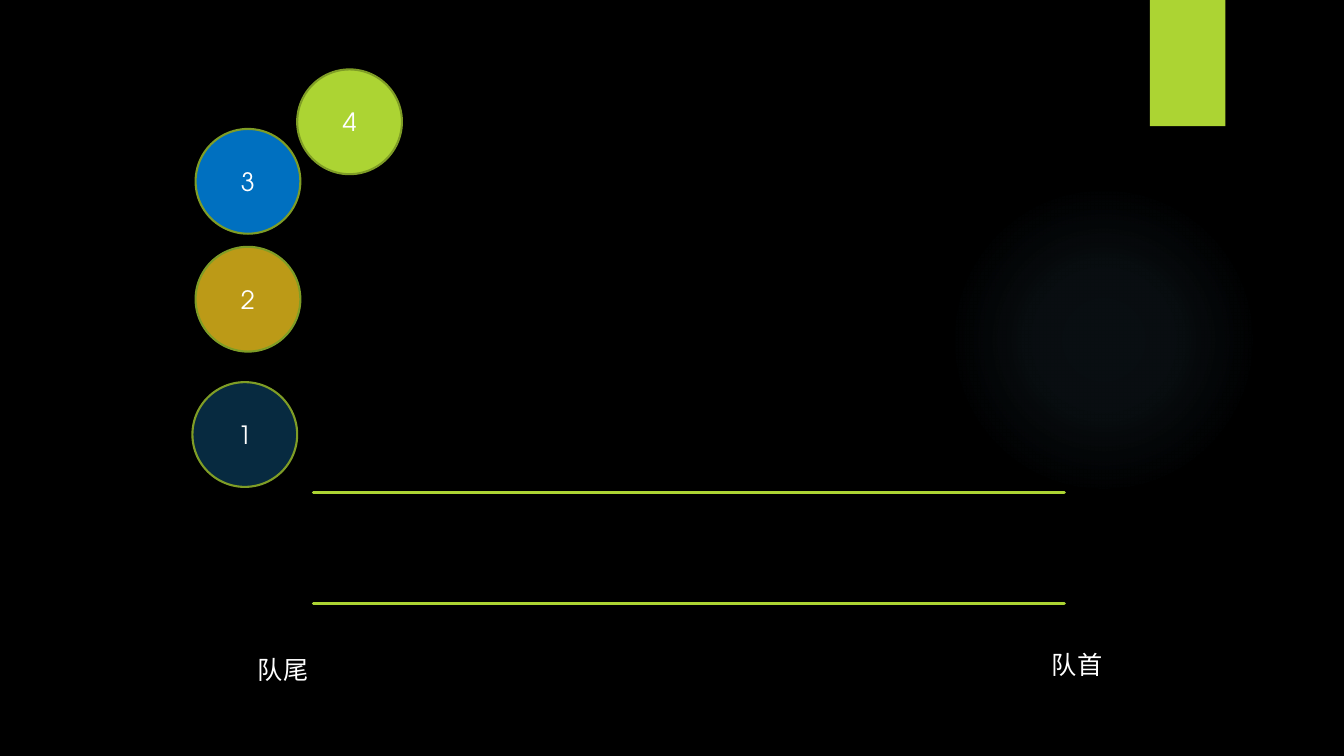
"""Build a slide of numbered balls waiting to enter a queue."""
import lxml.etree
import pptx
import pptx.dml.color
import pptx.enum.shapes
import pptx.enum.text
import pptx.oxml
import pptx.oxml.ns
import pptx.util

Cm = pptx.util.Cm
Pt = pptx.util.Pt
SHAPES = pptx.enum.shapes.MSO_SHAPE
FONT = "TeX Gyre Adventor"
COLORS = {
    "background": "000000",
    "glow": "7AC4F0",
    "lime": "ACD433",
    "outline": "7F9D26",
    "blue": "0070C0",
    "gold": "BC9A17",
    "navy": "072A40",
    "text": "FFFFFF",
}
GLOW_STOPS = [(0, 7), (36, 6), (69, 0)]
BALL_SIZE = 2.64
BALLS = [
    ("4", 2.64, 0, "lime"),
    ("3", 0.08, 1.5, "blue"),
    ("2", 0.08, 4.47, "gold"),
    ("1", 0, 7.88, "navy"),
]


def color(name):
    """Return the named colour."""
    return pptx.dml.color.RGBColor.from_string(COLORS[name])


def format_text(text_frame, text):
    """Write one line of slide text."""
    paragraph = text_frame.paragraphs[0]
    paragraph.text = text
    paragraph.font.name = FONT
    paragraph.font.size = Pt(18)
    paragraph.font.color.rgb = color("text")
    return paragraph


def add_plain_shape(slide, kind, left, top, width, height):
    """Add a shape without shadow or outline."""
    shape = slide.shapes.add_shape(kind, Cm(left), Cm(top), Cm(width), Cm(height))
    shape.shadow.inherit = False
    shape.line.fill.background()
    return shape


def add_glow(slide, left, top, size):
    """Add a soft round glow that fades outwards."""
    glow = add_plain_shape(slide, SHAPES.OVAL, left, top, size, size)
    stops = "".join(
        f'<a:gs pos="{position * 1000}"><a:srgbClr val="{COLORS["glow"]}">'
        f'<a:alpha val="{opacity * 1000}"/></a:srgbClr></a:gs>'
        for position, opacity in GLOW_STOPS
    )
    gradient = pptx.oxml.parse_xml(
        f'<a:gradFill {pptx.oxml.ns.nsdecls("a")}><a:gsLst>{stops}</a:gsLst>'
        '<a:path path="circle"><a:fillToRect l="50000" t="50000" r="50000" b="50000"/>'
        "</a:path></a:gradFill>"
    )
    properties = glow._element.spPr
    properties.find(pptx.oxml.ns.qn("a:prstGeom")).addnext(gradient)


def add_tab(slide, left, top, width, height):
    """Add the lime tab at the top edge."""
    tab = add_plain_shape(slide, SHAPES.RECTANGLE, left, top, width, height)
    tab.fill.solid()
    tab.fill.fore_color.rgb = color("lime")


def add_queue(slide, left, top, width, height):
    """Draw the two parallel walls of the queue."""
    for wall_top in (top, top + height):
        wall = slide.shapes.add_connector(
            pptx.enum.shapes.MSO_CONNECTOR.STRAIGHT,
            Cm(left), Cm(wall_top), Cm(left + width), Cm(wall_top),
        )
        wall.line.color.rgb = color("lime")
        wall.line.width = Pt(2.25)
        wall.line._get_or_add_ln().set("cap", "rnd")
        lxml.etree.SubElement(wall._element.spPr, pptx.oxml.ns.qn("a:effectLst"))


def add_balls(slide, left, top):
    """Place the numbered balls relative to the corner of their group."""
    for number, offset_x, offset_y, fill in BALLS:
        ball = add_plain_shape(
            slide, SHAPES.OVAL, left + offset_x, top + offset_y, BALL_SIZE, BALL_SIZE
        )
        ball.fill.solid()
        ball.fill.fore_color.rgb = color(fill)
        ball.line.color.rgb = color("outline")
        ball.line.width = Pt(1.5)
        ball.text_frame.vertical_anchor = pptx.enum.text.MSO_ANCHOR.MIDDLE
        paragraph = format_text(ball.text_frame, number)
        paragraph.alignment = pptx.enum.text.PP_ALIGN.CENTER


def add_label(slide, text, left, top, width, height, wrap):
    """Add a label for one end of the queue."""
    label = slide.shapes.add_textbox(Cm(left), Cm(top), Cm(width), Cm(height))
    label.text_frame.word_wrap = wrap
    label.text_frame.auto_size = pptx.enum.text.MSO_AUTO_SIZE.SHAPE_TO_FIT_TEXT
    format_text(label.text_frame, text)


def main():
    """Build and save the presentation."""
    presentation = pptx.Presentation()
    presentation.slide_width = Cm(33.87)
    presentation.slide_height = Cm(19.05)
    slide = presentation.slides.add_slide(presentation.slide_layouts[6])
    slide.background.fill.solid()
    slide.background.fill.fore_color.rgb = color("background")
    add_glow(slide, 23.9, 4.65, 7.82)
    add_tab(slide, 28.98, 0, 1.9, 3.18)
    add_queue(slide, 7.9, 12.4, 18.92, 2.81)
    add_balls(slide, 4.85, 1.75)
    add_label(slide, "队尾", 6.25, 16.36, 3.89, 1.02, True)
    add_label(slide, "队首", 26.26, 16.23, 1.8, 1.02, False)
    presentation.save("out.pptx")


if __name__ == "__main__":
    main()
